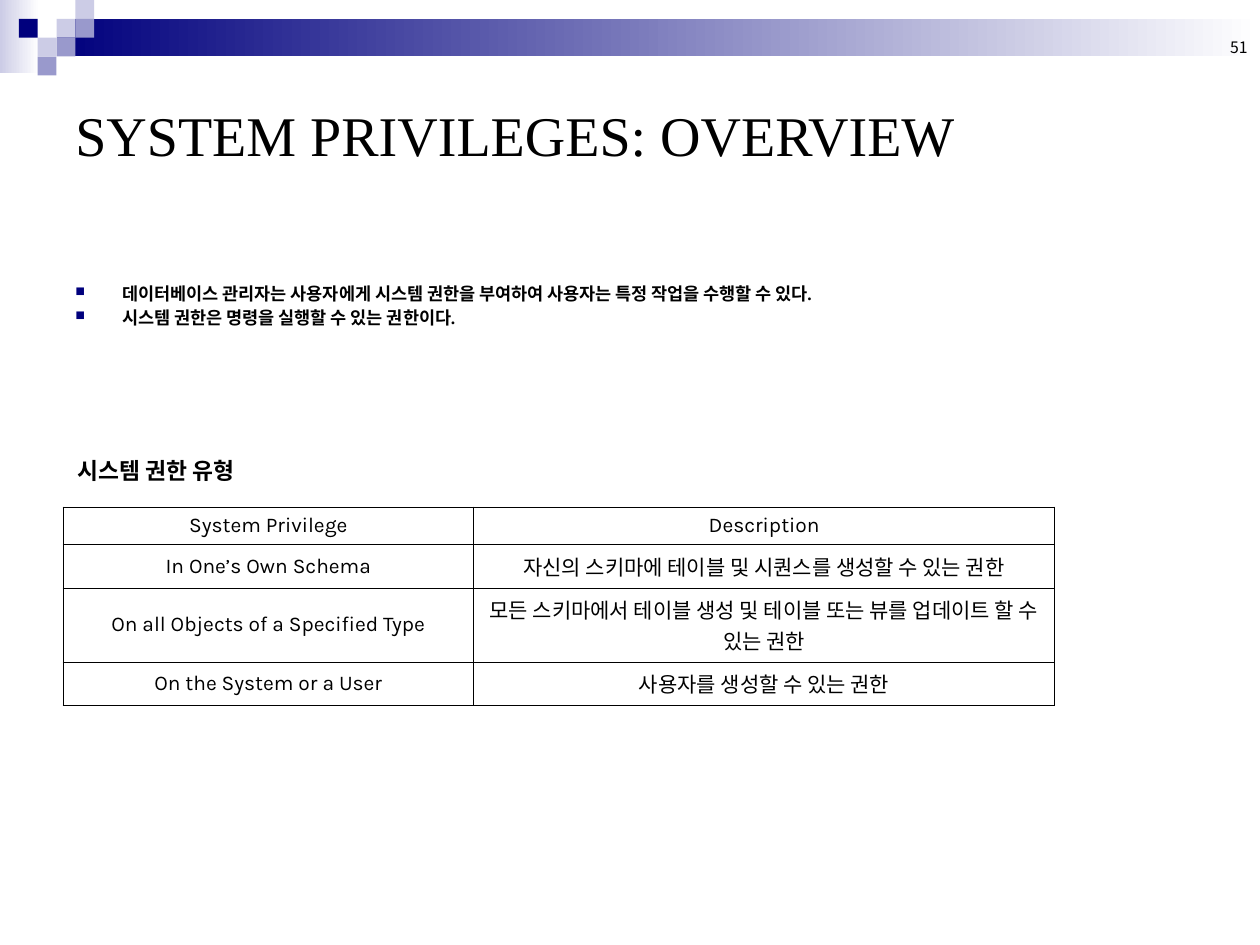
from lxml import etree
from pptx import Presentation
from pptx.dml.color import RGBColor
from pptx.enum.shapes import MSO_SHAPE
from pptx.enum.text import MSO_ANCHOR, PP_ALIGN
from pptx.oxml.ns import qn
from pptx.util import Cm, Pt

RECT = MSO_SHAPE.RECTANGLE
TOP, MID, LOW = MSO_ANCHOR.TOP, MSO_ANCHOR.MIDDLE, MSO_ANCHOR.BOTTOM
LEFT, RIGHT, CENTER = PP_ALIGN.LEFT, PP_ALIGN.RIGHT, PP_ALIGN.CENTER

TITLE = "SYSTEM PRIVILEGES: OVERVIEW"
PAGE = "51"
POINTS = [
    "데이터베이스 관리자는 사용자에게 시스템 권한을 부여하여 사용자는 특정 작업을 수행할 수 있다.",
    "시스템 권한은 명령을 실행할 수 있는 권한이다.",
]
HEAD = "시스템 권한 유형"
ROWS = [
    ("System Privilege", "Description"),
    ("In One’s Own Schema", "자신의 스키마에 테이블 및 시퀀스를 생성할 수 있는 권한"),
    ("On all Objects of a Specified Type",
     "모든 스키마에서 테이블 생성 및 테이블 또는 뷰를 업데이트 할 수 있는 권한"),
    ("On the System or a User", "사용자를 생성할 수 있는 권한"),
]
WIDTHS = [8.28, 11.71]
HEIGHTS = [0.75, 0.87, 1.49, 0.87]

THEME = {
    "ink": "000000", "paper": "FFFFFF",
    "navy": "00007D", "mid": "9999CC", "pale": "CCCCE6",
    "serif": "Times New Roman", "sans": "Karla", "hangul": "Noto Sans CJK KR",
    "title": 32, "head": 13, "cell": 12, "point": 10, "page": 9,
}
UNIT = 0.38
BANDS = [
    ((0, 0, 0.79, 1.47), "pale"),
    ((3 * UNIT, UNIT, 25.4 - 3 * UNIT, 2 * UNIT), "navy"),
]
TILES = [
    (3, 1, "pale"), (4, 0, "pale"), (4, 1, "mid"), (2, 2, "pale"),
    (1, 1, "navy"), (3, 2, "mid"), (2, 3, "mid"),
]


def color(key):
    return RGBColor.from_string(THEME[key])


def add(node, tag, **attrs):
    return etree.SubElement(node, qn(tag), attrs)


def block(slide, area):
    shape = slide.shapes.add_shape(RECT, *map(Cm, area))
    shape.shadow.inherit = False
    shape.line.fill.background()
    return shape.fill


def band(slide, area, key):
    fill = block(slide, area)
    fill.gradient()
    fill.gradient_angle = 0
    for stop, name, place in zip(fill.gradient_stops, (key, "paper"), (0, 1)):
        stop.color.rgb = color(name)
        stop.position = place


def tile(slide, col, row, key):
    fill = block(slide, (col * UNIT, row * UNIT, UNIT, UNIT))
    fill.solid()
    fill.fore_color.rgb = color(key)


def style(para, size, face, align=LEFT, bold=False):
    para.alignment = align
    font = para.font
    font.size = Pt(THEME[size])
    font.name = THEME[face]
    font.bold = bold
    font.color.rgb = color("ink")
    add(para._p.pPr.find(qn("a:defRPr")), "a:ea", typeface=THEME["hangul"])


def bullet(para):
    props = para._p.get_or_add_pPr()
    props.set("marL", str(Cm(0.95)))
    props.set("indent", str(-Cm(0.95)))
    add(add(props, "a:buClr"), "a:srgbClr", val=THEME["navy"])
    add(props, "a:buSzPct", val="75000")
    add(props, "a:buChar", char="■")


def label(slide, area, lines, size, face, anchor=TOP, align=LEFT,
          bold=False, dots=False):
    frame = slide.shapes.add_textbox(*map(Cm, area)).text_frame
    frame.word_wrap = True
    frame.vertical_anchor = anchor
    for i, line in enumerate(lines):
        para = frame.paragraphs[0] if i == 0 else frame.add_paragraph()
        para.text = line
        if dots:
            bullet(para)
            para.line_spacing = 0.8
            if i:
                para.space_before = Pt(4)
        style(para, size, face, align, bold)


def edge(cell):
    props = cell._tc.get_or_add_tcPr()
    for side in "LRTB":
        line = add(props, f"a:ln{side}", w=str(Pt(0.45)))
        add(add(line, "a:solidFill"), "a:srgbClr", val=THEME["ink"])


def grid(slide, left, top):
    area = (left, top, sum(WIDTHS), sum(HEIGHTS))
    table = slide.shapes.add_table(
        len(ROWS), len(WIDTHS), *map(Cm, area)).table
    table.first_row = table.horz_banding = False
    for col, width in zip(table.columns, WIDTHS):
        col.width = Cm(width)
    for row, height, texts in zip(table.rows, HEIGHTS, ROWS):
        row.height = Cm(height)
        for cell, text in zip(row.cells, texts):
            cell.text = text
            cell.vertical_anchor = MID
            cell.margin_left = cell.margin_right = Cm(0.18)
            edge(cell)
            cell.fill.background()
            style(cell.text_frame.paragraphs[0], "cell", "sans", CENTER)


def main():
    deck = Presentation()
    deck.slide_width, deck.slide_height = Cm(25.4), Cm(19.05)
    slide = deck.slides.add_slide(deck.slide_layouts[6])
    for area, key in BANDS:
        band(slide, area, key)
    for spot in TILES:
        tile(slide, *spot)
    label(slide, (19.48, 0, 5.92, 1.27), [PAGE], "page", "hangul", LOW, RIGHT)
    label(slide, (1.27, 5.66, 21.84, 1.27), POINTS, "point", "serif",
          bold=True, dots=True)
    label(slide, (1.27, 1.28, 22.86, 2.84), [TITLE], "title", "serif", MID)
    label(slide, (1.32, 9.09, 16.99, 1.04), [HEAD], "head", "serif", bold=True)
    grid(slide, 1.27, 10.22)
    deck.save("out.pptx")


if __name__ == "__main__":
    main()
